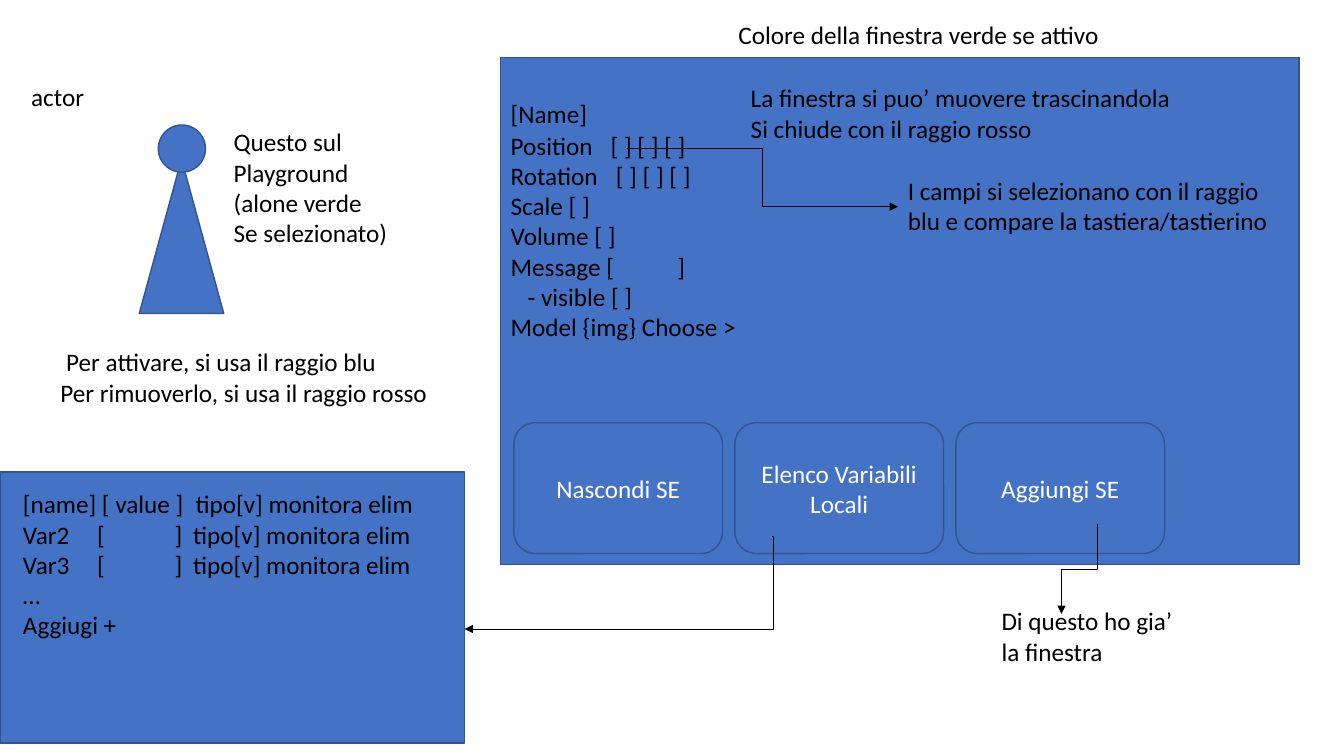
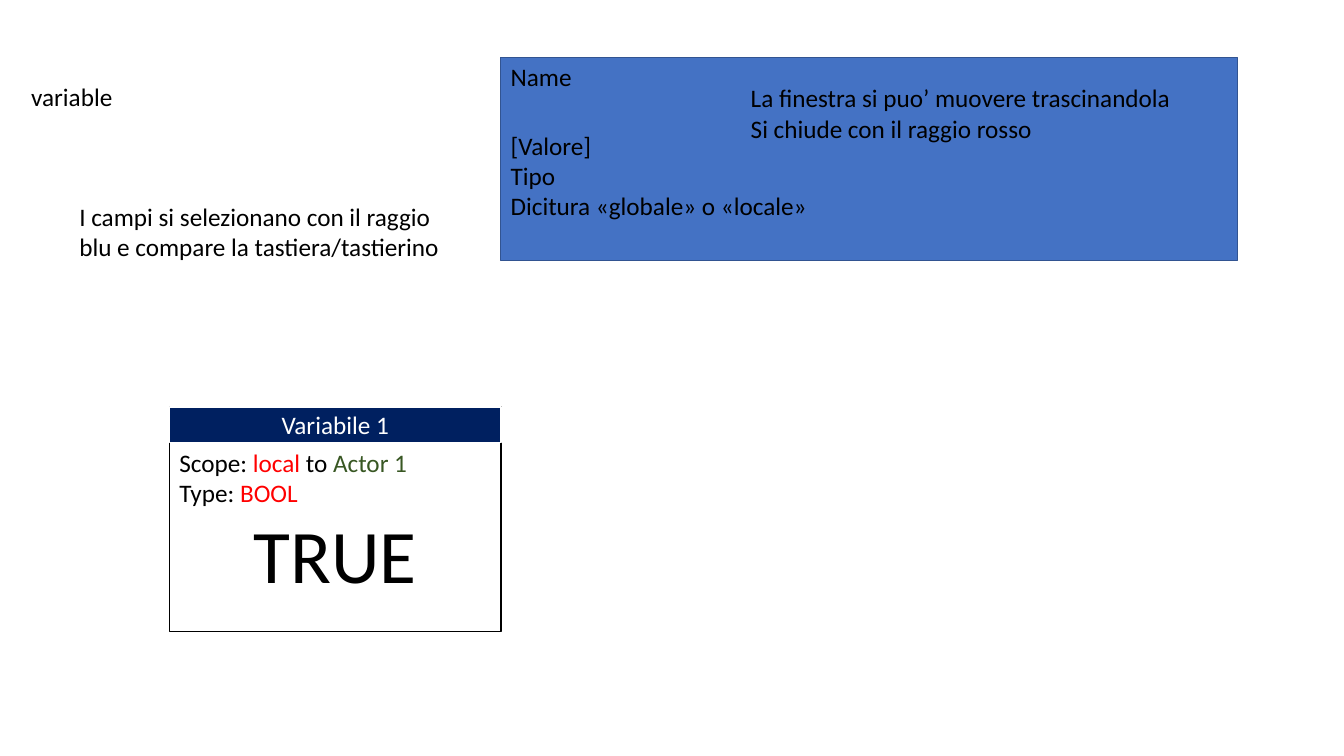
"""Builds two sketches of the actor and variable windows."""
import pptx
import pptx.util
import pptx.dml.color
import pptx.enum.shapes
import pptx.enum.text
import pptx.oxml
import pptx.oxml.ns

Cm, Pt = pptx.util.Cm, pptx.util.Pt
SHAPES = pptx.enum.shapes.MSO_SHAPE
ALIGN = pptx.enum.text.PP_ALIGN
ANCHOR = pptx.enum.text.MSO_ANCHOR
qn = pptx.oxml.ns.qn

FONT, BODY_SIZE, VALUE_SIZE = "Calibri", 18, 54
BLACK, WHITE, RED, GREEN = "000000", "FFFFFF", "FF0000", "385723"
BLUE, BLUE_EDGE, NAVY = "4472C4", "325491", "002060"

# Each line is text, or (text, tab stops in cm, left indent in cm).
MOVE_HINT = ["La finestra si puo’ muovere trascinandola", "Si chiude con il raggio rosso"]
FIELD_HINT = ["I campi si selezionano con il raggio blu e compare la tastiera/tastierino"]
MOVE_AT = (18.67, 1.96, 11.25, 1.8)

ACTOR_FIELDS = [
    ("Position\t[ ] [ ] [ ]", [2.52], 0),
    ("Rotation\t[ ] [ ] [ ]", [2.65], 0),
    "Scale [ ]",
    "Volume [ ]",
    ("Message [\t]", [4.2], 0),
    ("- visible [ ]", [], 0.43),
    "Model {img} Choose >",
]
VARIABLE_ROWS = [
    ("[name] [ value ]\ttipo[v] monitora elim", [4.35], 0),
    ("Var2\t[\t]\ttipo[v] monitora elim", [1.87, 3.82, 4.29], 0),
    ("Var3\t[\t]\ttipo[v] monitora elim", [1.87, 3.82, 4.29], 0),
    "…",
    "Aggiugi +",
]
ACTOR_NOTES = [
    ((12.62, 2.36, 2.87, 1.02), ["[Name]"]),
    ((12.62, 3.15, 9.22, 7.19), ACTOR_FIELDS),
    ((18.36, 0.36, 15.11, 1.02), ["Colore della finestra verde se attivo"]),
    ((24.99, 15.14, 4.93, 1.8), ["Di questo ho gia’ la finestra"]),
    ((1.27, 8.61, 15.11, 1.8), [("Per attivare, si usa il raggio blu", [], 0.15),
                                "Per rimuoverlo, si usa il raggio rosso"]),
    ((5.64, 3.07, 4.7, 3.33), ["Questo sul", "Playground", "(alone verde", "Se selezionato)"]),
    ((22.63, 4.29, 9.86, 1.8), FIELD_HINT),
    (MOVE_AT, MOVE_HINT),
    ((0.33, 12.19, 11.38, 4.11), VARIABLE_ROWS),
]
ACTOR_BUTTONS = ["Nascondi SE", "Elenco Variabili Locali", "Aggiungi SE"]
BUTTON_LEFT, BUTTON_TOP, BUTTON_STEP = 12.95, 10.65, 5.57
BUTTON_WIDTH, BUTTON_HEIGHT = 5.26, 3.3

VARIABLE_NOTES = [
    ((12.62, 1.42, 2.87, 1.02), ["Name"]),
    ((12.62, 3.15, 9.22, 4.11), ["[Valore]", "Tipo", "Dicitura «globale» o «locale»"]),
    ((1.75, 4.95, 9.86, 1.8), FIELD_HINT),
    (MOVE_AT, MOVE_HINT),
]
CARD_LEFT, CARD_TOP, CARD_WIDTH, CARD_HEIGHT, CARD_HEADER = 4.27, 10.26, 8.36, 5.66, 0.89
CARD_LINES = [
    [("Scope: ", BLACK), ("local", RED), (" to ", BLACK), ("Actor 1", GREEN)],
    [("Type: ", BLACK), ("BOOL", RED)],
    [("TRUE", BLACK)],
]


def colour(value):
    return pptx.dml.color.RGBColor.from_string(value)


def style(paragraph, shade=BLACK, size=BODY_SIZE):
    for run in paragraph.runs:
        run.font.name, run.font.size = FONT, Pt(size)
        run.font.color.rgb = colour(shade)


def new_slide(topic):
    slide = deck.slides.add_slide(deck.slide_layouts[5])
    title = slide.shapes.title
    title.left, title.top, title.width, title.height = map(Cm, (0.53, 1.93, 3.91, 1.02))
    title.text_frame.text = topic
    title.text_frame.vertical_anchor = ANCHOR.TOP
    title.text_frame.paragraphs[0].alignment = ALIGN.LEFT
    style(title.text_frame.paragraphs[0])
    return slide


def add_block(slide, kind, at, fill=BLUE, edge=BLUE_EDGE, label=""):
    block = slide.shapes.add_shape(kind, *map(Cm, at))
    block.shadow.inherit = False
    block.fill.solid()
    block.fill.fore_color.rgb = colour(fill)
    block.line.color.rgb = colour(edge)
    block.line.width = Pt(1)
    if label:
        block.text_frame.text = label
        block.text_frame.vertical_anchor = ANCHOR.MIDDLE
        block.text_frame.paragraphs[0].alignment = ALIGN.CENTER
        style(block.text_frame.paragraphs[0], WHITE)


def add_note(slide, at, lines):
    frame = slide.shapes.add_textbox(*map(Cm, at)).text_frame
    frame.word_wrap = True
    for number, line in enumerate(lines):
        text, stops, indent = (line, [], 0) if isinstance(line, str) else line
        paragraph = frame.add_paragraph() if number else frame.paragraphs[0]
        paragraph.text = text
        style(paragraph)
        properties = paragraph._p.get_or_add_pPr()
        if indent:
            properties.set("marL", str(int(Cm(indent))))
        if stops:
            tabs = pptx.oxml.ns.qn("a:tabLst")
            tab_list = properties.makeelement(tabs, {})
            properties.append(tab_list)
            for stop in stops:
                tab = tab_list.makeelement(qn("a:tab"), {"pos": str(int(Cm(stop))), "algn": "l"})
                tab_list.append(tab)


def add_arrow(slide, start, end, bend=50000, vertical=False):
    (x1, y1), (x2, y2) = start, end
    if vertical:
        middle_x, middle_y = (x1 + x2) / 2, (y1 + y2) / 2
        along, across = (y2 - y1) / 2, (x1 - x2) / 2
        x1, x2 = middle_x - along, middle_x + along
        y1, y2 = middle_y - across, middle_y + across
    arrow = slide.shapes.add_connector(
        pptx.enum.shapes.MSO_CONNECTOR.ELBOW, *map(Cm, (x1, y1, x2, y2)))
    if vertical:
        arrow.rotation = 90
    arrow.line.color.rgb = colour(BLACK)
    arrow.line.width = Pt(0.5)
    properties = arrow._element.spPr
    line = properties.find(qn("a:ln"))
    line.append(line.makeelement(qn("a:tailEnd"), {"type": "triangle"}))
    properties.append(properties.makeelement(qn("a:effectLst"), {}))
    guides = properties.find(qn("a:prstGeom")).get_or_add_avLst()
    guides.append(guides.makeelement(qn("a:gd"), {"name": "adj1", "fmla": f"val {bend}"}))


def build_actor():
    slide = new_slide("actor")
    add_block(slide, SHAPES.RECTANGLE, (12.62, 1.45, 20.12, 12.78))
    add_block(slide, SHAPES.RECTANGLE, (0, 11.89, 11.71, 6.83))
    add_block(slide, SHAPES.ISOSCELES_TRIANGLE, (3.51, 4.01, 2.13, 3.89))
    add_block(slide, SHAPES.OVAL, (3.99, 3.15, 1.19, 1.19))
    for column, label in enumerate(ACTOR_BUTTONS):
        left = BUTTON_LEFT + column * BUTTON_STEP
        add_block(slide, SHAPES.ROUNDED_RECTANGLE,
                  (left, BUTTON_TOP, BUTTON_WIDTH, BUTTON_HEIGHT), label=label)
    for at, lines in ACTOR_NOTES:
        add_note(slide, at, lines)
    add_arrow(slide, (19.46, 13.51), (11.71, 15.85), bend=-300)
    add_arrow(slide, (27.66, 13.21), (26.75, 15.47), vertical=True)
    add_arrow(slide, (15.8, 3.73), (22.63, 5.21))


def build_variable():
    slide = new_slide("variable")
    add_block(slide, SHAPES.RECTANGLE, (12.62, 1.45, 18.57, 5.11))
    for at, lines in VARIABLE_NOTES:
        add_note(slide, at, lines)
    add_block(slide, SHAPES.RECTANGLE, (CARD_LEFT, CARD_TOP, CARD_WIDTH, CARD_HEIGHT),
              WHITE, BLACK)
    add_block(slide, SHAPES.RECTANGLE, (CARD_LEFT, CARD_TOP, CARD_WIDTH, CARD_HEADER),
              NAVY, WHITE, "Variabile 1")
    body = (CARD_LEFT, CARD_TOP + CARD_HEADER, CARD_WIDTH, CARD_HEIGHT - CARD_HEADER)
    frame = slide.shapes.add_textbox(*map(Cm, body)).text_frame
    frame.word_wrap = True
    for number, pieces in enumerate(CARD_LINES):
        paragraph = frame.add_paragraph() if number else frame.paragraphs[0]
        for text, shade in pieces:
            run = paragraph.add_run()
            run.text = text
            run.font.name, run.font.size = FONT, Pt(BODY_SIZE)
            run.font.color.rgb = colour(shade)
    value = frame.paragraphs[-1]
    value.alignment = ALIGN.CENTER
    style(value, size=VALUE_SIZE)


deck = pptx.Presentation()
deck.slide_width, deck.slide_height = Cm(33.87), Cm(19.05)
build_actor()
build_variable()
deck.save("out.pptx")
